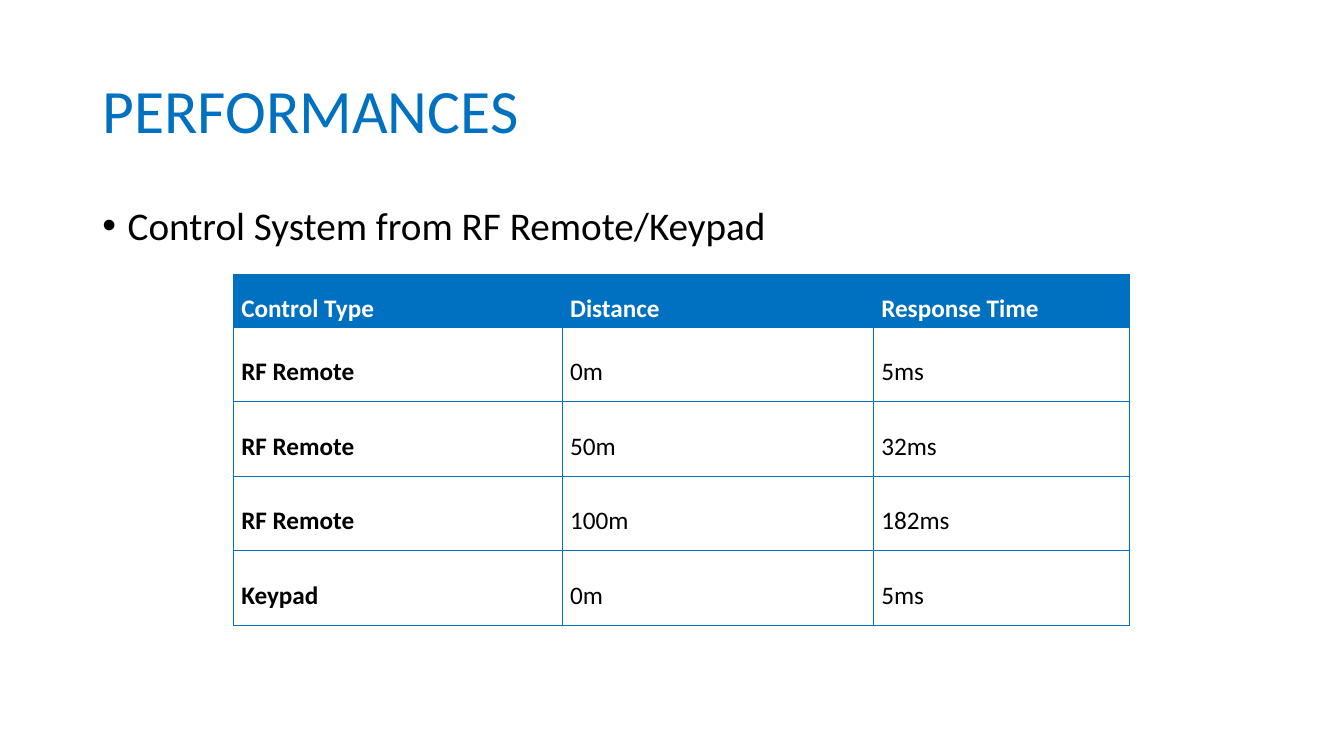
from lxml import etree
from pptx import Presentation
from pptx import util as u
from pptx.dml.color import RGBColor
from pptx.enum import text
from pptx.oxml.ns import qn

HEADING = "PERFORMANCES"
TOPIC = "Control System from RF Remote/Keypad"
MEASUREMENTS = [
    ("Control Type", "Distance", "Response Time"),
    ("RF Remote", "0m", "5ms"),
    ("RF Remote", "50m", "32ms"),
    ("RF Remote", "100m", "182ms"),
    ("Keypad", "0m", "5ms"),
]
COLORS = {"blue": "0070C0", "black": "000000", "white": "FFFFFF"}
FONT = "Calibri"
COLUMN_WIDTHS = (8.29, 7.84, 6.45)
HEADER_HEIGHT, ROW_HEIGHT = 1.32, 1.88
MARGIN, CONTENT_WIDTH = 2.33, 29.21


def write(frame, content, size, color="black", bold=False, spacing=0.9,
          anchor=text.MSO_ANCHOR.MIDDLE):
    frame.word_wrap = True
    frame.vertical_anchor = anchor
    paragraph = frame.paragraphs[0]
    paragraph.alignment = text.PP_ALIGN.LEFT
    paragraph.line_spacing = spacing
    run = paragraph.add_run()
    run.text = content
    run.font.name = FONT
    run.font.size = u.Pt(size)
    run.font.bold = bold
    run.font.color.rgb = RGBColor.from_string(COLORS[color])
    return paragraph


def add_bullet(paragraph, indent):
    properties = paragraph._p.get_or_add_pPr()
    properties.set("marL", str(indent))
    properties.set("indent", str(-indent))
    etree.SubElement(properties, qn("a:buFont")).set("typeface", "Arial")
    etree.SubElement(properties, qn("a:buChar")).set("char", "•")


def add_borders(cell, color):
    properties = cell._tc.get_or_add_tcPr()
    for position, side in enumerate(("lnL", "lnR", "lnT", "lnB")):
        border = etree.Element(qn(f"a:{side}"), w=str(u.Pt(1)))
        fill = etree.SubElement(border, qn("a:solidFill"))
        etree.SubElement(fill, qn("a:srgbClr")).set("val", COLORS[color])
        properties.insert(position, border)


def add_measurements(slide):
    row_heights = [HEADER_HEIGHT] + [ROW_HEIGHT] * (len(MEASUREMENTS) - 1)
    table = slide.shapes.add_table(
        len(MEASUREMENTS), len(COLUMN_WIDTHS), u.Cm(5.89), u.Cm(6.92),
        u.Cm(sum(COLUMN_WIDTHS)), u.Cm(sum(row_heights))).table
    table.horz_banding = False
    for column, width in zip(table.columns, COLUMN_WIDTHS):
        column.width = u.Cm(width)
    for row, height in zip(table.rows, row_heights):
        row.height = u.Cm(height)
    for r, values in enumerate(MEASUREMENTS):
        header = r == 0
        for c, value in enumerate(values):
            cell = table.cell(r, c)
            cell.margin_left = cell.margin_right = u.Cm(0.19)
            cell.margin_top = cell.margin_bottom = 0
            cell.vertical_anchor = text.MSO_ANCHOR.MIDDLE
            cell.fill.solid()
            cell.fill.fore_color.rgb = RGBColor.from_string(
                COLORS["blue" if header else "white"])
            write(cell.text_frame, value, 18, "white" if header else "black",
                  bold=header or c == 0, spacing=1.5)
            add_borders(cell, "blue")


def main():
    deck = Presentation()
    deck.slide_width, deck.slide_height = u.Cm(33.87), u.Cm(19.05)
    slide = deck.slides.add_slide(deck.slide_layouts[5])

    heading = slide.shapes.title
    heading.left, heading.top = u.Cm(MARGIN), u.Cm(1.01)
    heading.width, heading.height = u.Cm(CONTENT_WIDTH), u.Cm(3.68)
    write(heading.text_frame, HEADING, 44, "blue")

    topic = slide.shapes.add_textbox(
        u.Cm(MARGIN), u.Cm(5.07), u.Cm(CONTENT_WIDTH), u.Cm(12.09))
    line = write(topic.text_frame, TOPIC, 28, anchor=text.MSO_ANCHOR.TOP)
    line.space_before = u.Pt(10)
    add_bullet(line, u.Cm(0.64))

    add_measurements(slide)
    deck.save("out.pptx")


if __name__ == "__main__":
    main()
